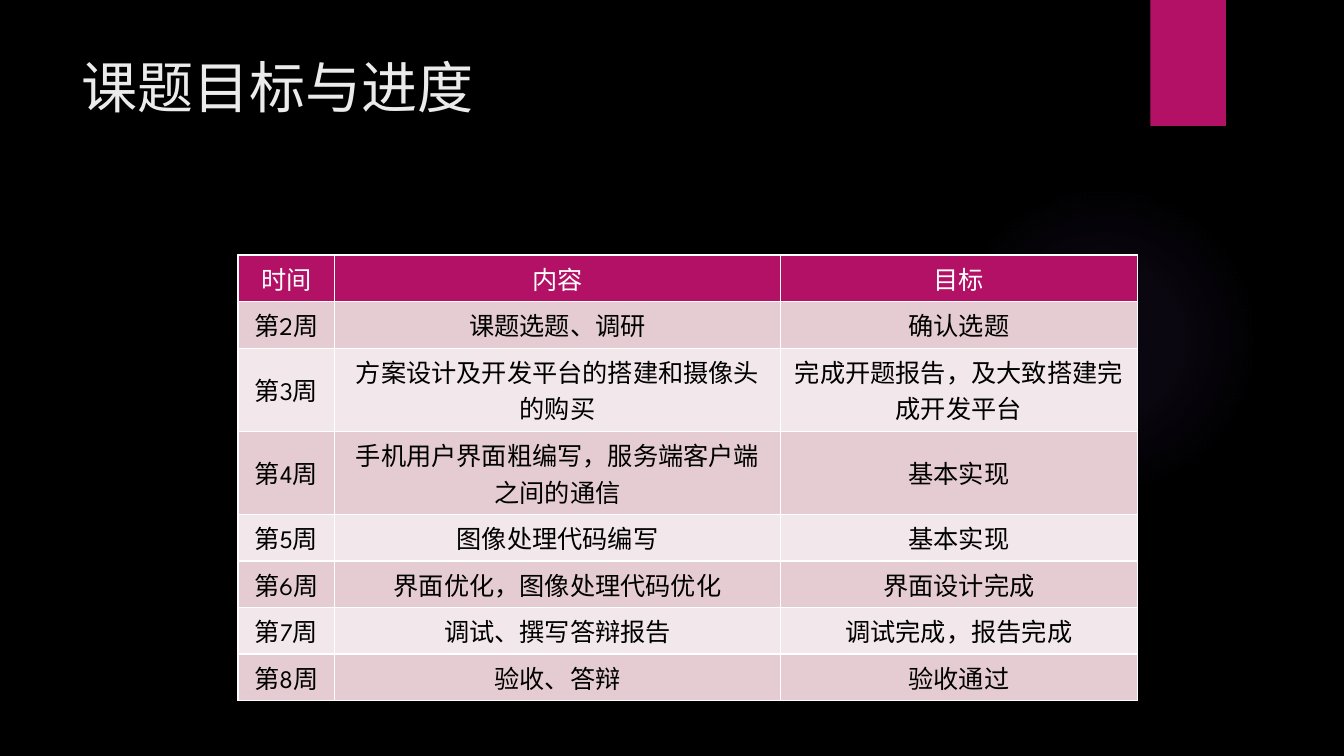
from lxml.etree import SubElement
from pptx import Presentation
from pptx.dml.color import RGBColor
from pptx.enum.shapes import MSO_SHAPE
from pptx.enum.text import MSO_ANCHOR, PP_ALIGN
from pptx.oxml import parse_xml
from pptx.oxml.ns import qn
from pptx.util import Pt

PX = 9144  # 100 px to the inch
BLACK = RGBColor(0x00, 0x00, 0x00)
WHITE = RGBColor(0xFF, 0xFF, 0xFF)
PALE = RGBColor(0xEB, 0xEB, 0xEB)
PINK = RGBColor(0xB3, 0x11, 0x66)
ROSE = RGBColor(0xE5, 0xCC, 0xD3)
BLUSH = RGBColor(0xF2, 0xE7, 0xEA)
GLOW = RGBColor(0x9B, 0x6B, 0xF2)
NS = "http://schemas.openxmlformats.org/drawingml/2006/main"

COLS = [96, 442, 354]
ROW = 42
PLAN = [
    ("时间", "内容", "目标"),
    ("第2周", "课题选题、调研", "确认选题"),
    ("第3周", "方案设计及开发平台的搭建和摄像头的购买", "完成开题报告，及大致搭建完成开发平台"),
    ("第4周", "手机用户界面粗编写，服务端客户端之间的通信", "基本实现"),
    ("第5周", "图像处理代码编写", "基本实现"),
    ("第6周", "界面优化，图像处理代码优化", "界面设计完成"),
    ("第7周", "调试、撰写答辩报告", "调试完成，报告完成"),
    ("第8周", "验收、答辩", "验收通过"),
]


def scale(*box):
    return [n * PX for n in box]


def add_plain(slide, kind, box):
    """Add a preset shape with no line and no shadow."""
    shape = slide.shapes.add_shape(kind, *scale(*box))
    shape.shadow.inherit = False
    shape.line.fill.background()
    return shape


def add_glow(slide, box):
    """Add a circle that fades out from its centre."""
    shape = add_plain(slide, MSO_SHAPE.OVAL, box)
    stops = "".join(
        f'<a:gs pos="{pos}000"><a:srgbClr val="{GLOW}">'
        f'<a:alpha val="{alpha}000"/></a:srgbClr></a:gs>'
        for pos, alpha in [(0, 7), (36, 6), (69, 0)])
    fade = parse_xml(
        f'<a:gradFill xmlns:a="{NS}" rotWithShape="1"><a:gsLst>{stops}</a:gsLst>'
        '<a:path path="circle"><a:fillToRect l="50000" t="50000" r="50000" '
        'b="50000"/></a:path></a:gradFill>')
    shape.element.spPr.find(qn("a:prstGeom")).addnext(fade)


def add_tab(slide, box):
    shape = add_plain(slide, MSO_SHAPE.RECTANGLE, box)
    shape.fill.solid()
    shape.fill.fore_color.rgb = PINK


def set_title(slide, text, box):
    title = slide.shapes.title
    title.left, title.top, title.width, title.height = scale(*box)
    frame = title.text_frame
    frame.text = text
    frame.vertical_anchor = MSO_ANCHOR.MIDDLE
    para = frame.paragraphs[0]
    para.alignment = PP_ALIGN.LEFT
    para.font.size = Pt(40)
    para.font.name = "Arial"
    para.font.color.rgb = PALE


def add_edges(cell):
    """Draw a thin white border; it must precede the cell's fill."""
    props = cell._tc.get_or_add_tcPr()
    for side in ("lnL", "lnR", "lnT", "lnB"):
        edge = SubElement(props, qn(f"a:{side}"), w=str(Pt(1)))
        fill = SubElement(edge, qn("a:solidFill"))
        SubElement(fill, qn("a:srgbClr"), val=str(WHITE))


def fill_cell(cell, text, back, ink):
    add_edges(cell)
    cell.fill.solid()
    cell.fill.fore_color.rgb = back
    cell.text = text
    cell.vertical_anchor = MSO_ANCHOR.MIDDLE
    para = cell.text_frame.paragraphs[0]
    para.alignment = PP_ALIGN.CENTER
    para.font.size = Pt(18)
    para.font.bold = False
    para.font.name = "League Spartan"
    para.font.color.rgb = ink


def add_plan(slide, left, top):
    box = scale(left, top, sum(COLS), ROW * len(PLAN))
    table = slide.shapes.add_table(len(PLAN), len(COLS), *box).table
    for col, width in zip(table.columns, COLS):
        col.width = width * PX
    for r, row in enumerate(PLAN):
        back = (ROSE if r % 2 else BLUSH) if r else PINK
        for c, text in enumerate(row):
            fill_cell(table.cell(r, c), text, back, BLACK if r else WHITE)


def main():
    deck = Presentation()
    deck.slide_width, deck.slide_height = scale(1333, 750)
    slide = deck.slides.add_slide(deck.slide_layouts[5])
    slide.background.fill.solid()
    slide.background.fill.fore_color.rgb = BLACK
    add_glow(slide, (941, 183, 308, 308))
    add_tab(slide, (1141, 0, 75, 125))
    set_title(slide, "课题目标与进度", (71, 50, 1029, 71))
    add_plan(slide, 236, 253)
    deck.save("out.pptx")


if __name__ == "__main__":
    main()
